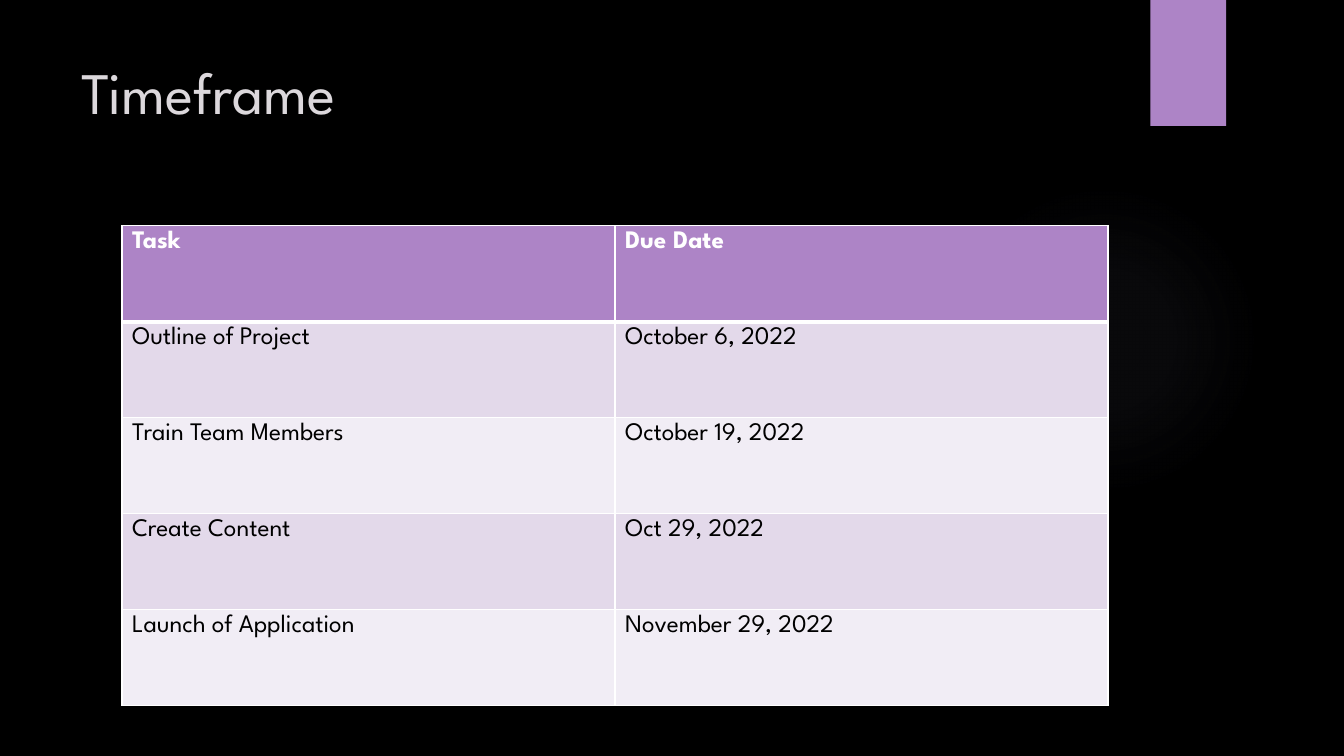
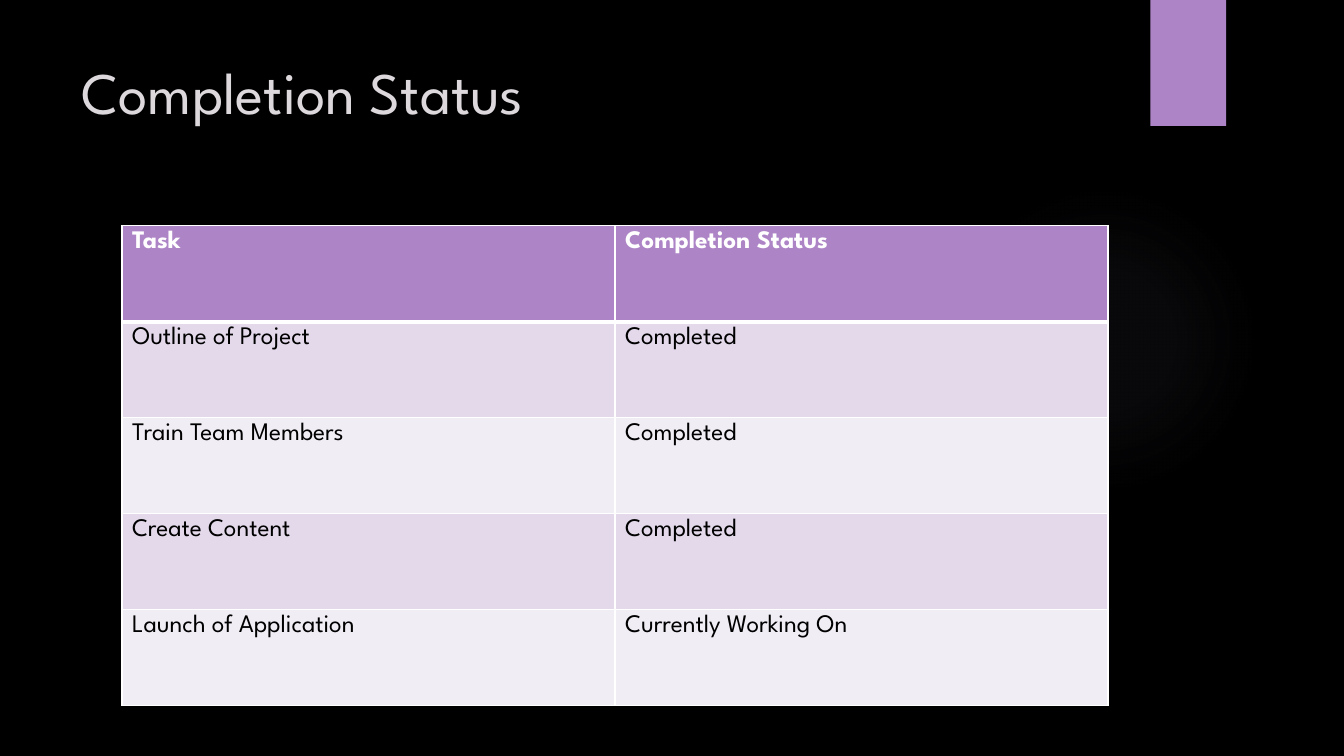
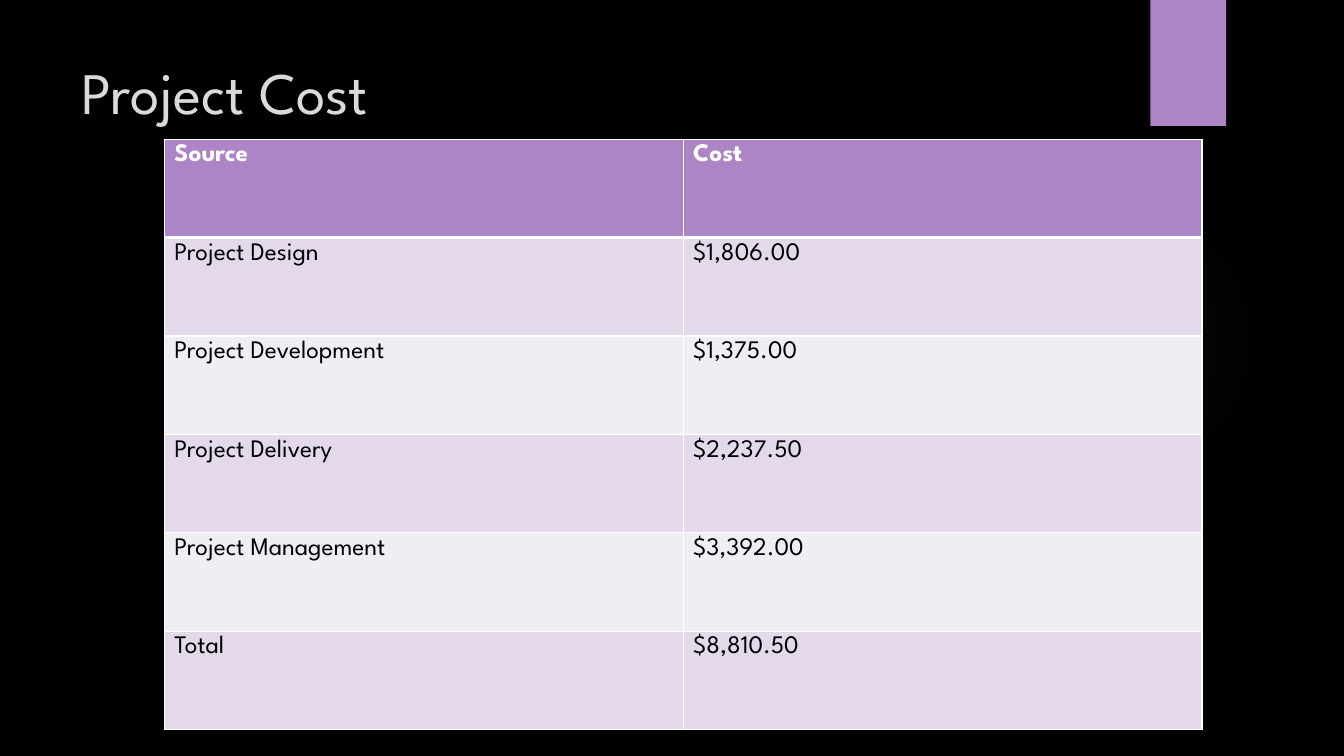
from lxml import etree
from pptx import Presentation
from pptx.dml.color import RGBColor
from pptx.enum.shapes import MSO_SHAPE
from pptx.oxml import parse_xml
from pptx.oxml.ns import nsdecls, qn
from pptx.util import Inches, Pt

RECTANGLE = MSO_SHAPE.RECTANGLE
OVAL = MSO_SHAPE.OVAL

BLACK = RGBColor(0x00, 0x00, 0x00)
WHITE = RGBColor(0xFF, 0xFF, 0xFF)
PURPLE = RGBColor(0xAD, 0x84, 0xC6)
DARK_ROW = RGBColor(0xE3, 0xD9, 0xEA)
LIGHT_ROW = RGBColor(0xF1, 0xED, 0xF5)
TITLE_GREY = RGBColor(0xDC, 0xD8, 0xDC)
GLOW_GREY = RGBColor(0x7F, 0x7B, 0x9A)

FONT = "League Spartan"
SLIDE_WIDTH, SLIDE_HEIGHT = Inches(13.33), Inches(7.5)
THIN, THICK = Pt(1), Pt(3)

# Areas: left, top, width, height in percent of the slide
GLOW_AREA = (70.59, 24.4, 23.1, 41.07)
BAND_AREA = (85.6, 0, 5.63, 16.67)
TITLE_AREA = (5.33, 6.67, 77.2, 20.4)
TABLE_AREA = (9.08, 29.87, 73.37, 63.47)
TALL_TABLE_AREA = (12.23, 18.4, 77.2, 78.13)

# Glow stops: position and opacity in percent
GLOW_STOPS = [(0, 7), (36, 6), (69, 0)]

TASKS = ["Outline of Project", "Train Team Members", "Create Content",
         "Launch of Application"]
DUE_DATES = ["October 6, 2022", "October 19, 2022", "Oct 29, 2022",
             "November 29, 2022"]
STATUSES = ["Completed", "Completed", "Completed", "Currently Working On"]
COSTS = [("Project Design", "$1,806.00"), ("Project Development", "$1,375.00"),
         ("Project Delivery", "$2,237.50"), ("Project Management", "$3,392.00"),
         ("Total", "$8,810.50")]

SLIDES = [
    ("Timeframe", TABLE_AREA, [("Task", "Due Date"), *zip(TASKS, DUE_DATES)]),
    ("Completion Status", TABLE_AREA,
     [("Task", "Completion Status"), *zip(TASKS, STATUSES)]),
    ("Project Cost", TALL_TABLE_AREA, [("Source", "Cost"), *COSTS]),
]


def place(area):
    sizes = (SLIDE_WIDTH, SLIDE_HEIGHT) * 2
    return [round(size * share / 100) for size, share in zip(sizes, area)]


def write(frame, text, size=18, color=BLACK, bold=False):
    span = frame.paragraphs[0].add_run()
    span.text = text
    span.font.name = FONT
    span.font.size = Pt(size)
    span.font.color.rgb = color
    span.font.bold = bold


def add_block(page, kind, area, color):
    block = page.shapes.add_shape(kind, *place(area))
    block.shadow.inherit = False
    block.fill.solid()
    block.fill.fore_color.rgb = color
    block.line.fill.background()
    return block


def add_glow(page):
    glow = add_block(page, OVAL, GLOW_AREA, GLOW_GREY)
    stops = "".join(
        f'<a:gs pos="{position * 1000}"><a:srgbClr val="{GLOW_GREY}">'
        f'<a:alpha val="{opacity * 1000}"/></a:srgbClr></a:gs>'
        for position, opacity in GLOW_STOPS)
    gradient = parse_xml(
        f'<a:gradFill {nsdecls("a")}><a:gsLst>{stops}</a:gsLst>'
        '<a:path path="circle"><a:fillToRect l="50000" t="50000" r="50000" '
        'b="50000"/></a:path></a:gradFill>')
    properties = glow.fill._xPr
    properties.replace(properties.find(qn("a:solidFill")), gradient)


def add_title(page, text):
    box = page.shapes.add_textbox(*place(TITLE_AREA))
    box.text_frame.word_wrap = True
    write(box.text_frame, text, size=42, color=TITLE_GREY)


def set_borders(cell, top, bottom):
    properties = cell._tc.get_or_add_tcPr()
    widths = {"lnL": THIN, "lnR": THIN, "lnT": top, "lnB": bottom}
    for side, width in widths.items():
        line = etree.SubElement(properties, qn(f"a:{side}"), w=str(int(width)))
        fill = etree.SubElement(line, qn("a:solidFill"))
        etree.SubElement(fill, qn("a:srgbClr"), val=str(WHITE))


def add_grid(page, area, rows):
    frame = page.shapes.add_table(len(rows), len(rows[0]), *place(area))
    table = frame.table
    for index, texts in enumerate(rows):
        header = index == 0
        band = PURPLE if header else DARK_ROW if index % 2 else LIGHT_ROW
        for column, text in enumerate(texts):
            cell = table.cell(index, column)
            set_borders(cell, top=THICK if index == 1 else THIN,
                        bottom=THICK if header else THIN)
            cell.fill.solid()
            cell.fill.fore_color.rgb = band
            write(cell.text_frame, text, color=WHITE if header else BLACK,
                  bold=header)


def add_page(deck, title, area, rows):
    page = deck.slides.add_slide(deck.slide_layouts[6])
    add_glow(page)
    add_block(page, RECTANGLE, BAND_AREA, PURPLE)
    add_title(page, title)
    add_grid(page, area, rows)


def main():
    deck = Presentation()
    deck.slide_width, deck.slide_height = SLIDE_WIDTH, SLIDE_HEIGHT

    # Shared background
    backdrop = deck.slide_master.background.fill
    backdrop.solid()
    backdrop.fore_color.rgb = BLACK

    for title, area, rows in SLIDES:
        add_page(deck, title, area, rows)
    deck.save("out.pptx")


main()
